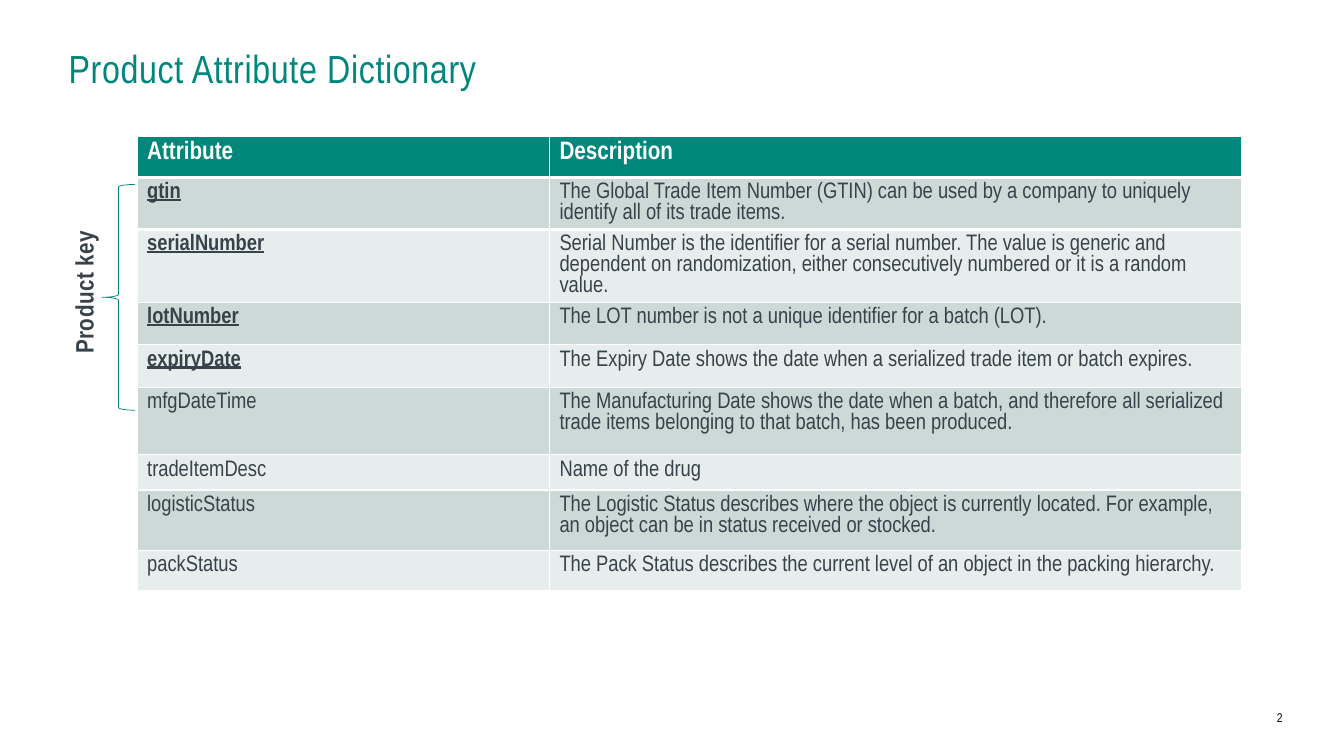
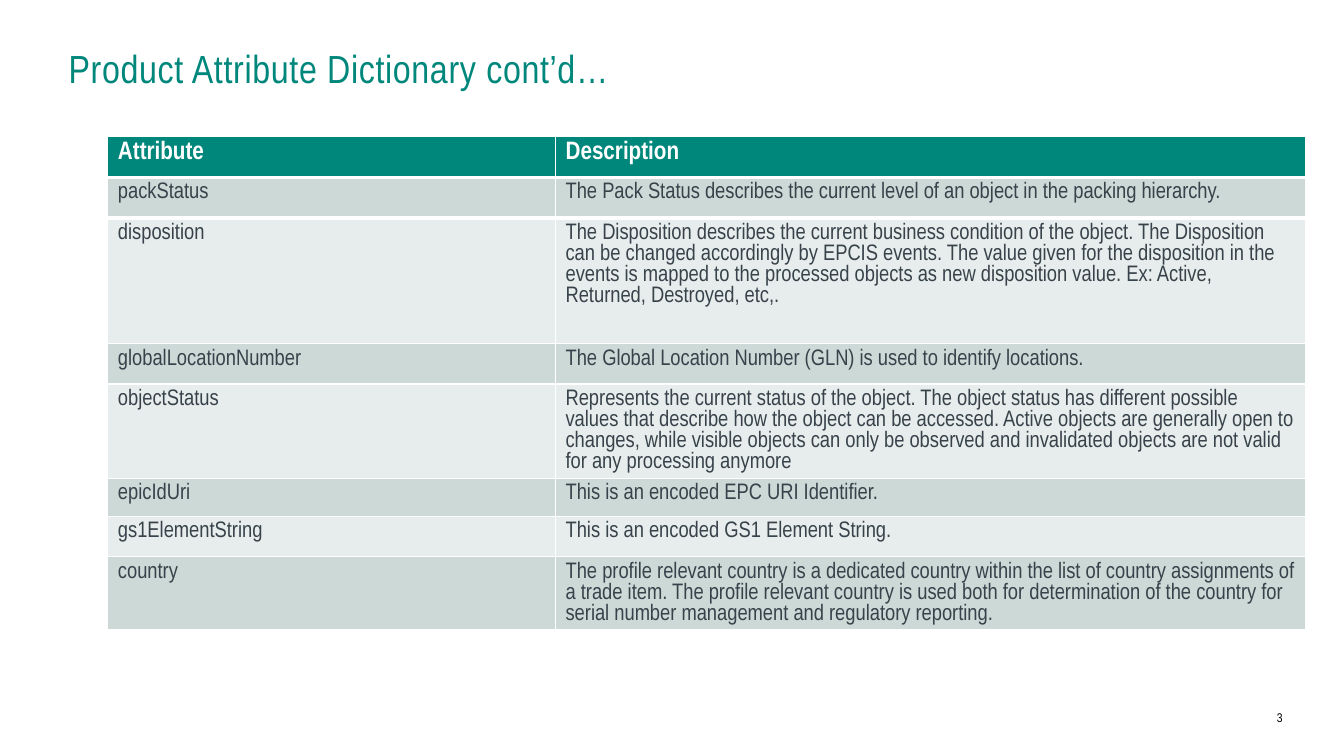
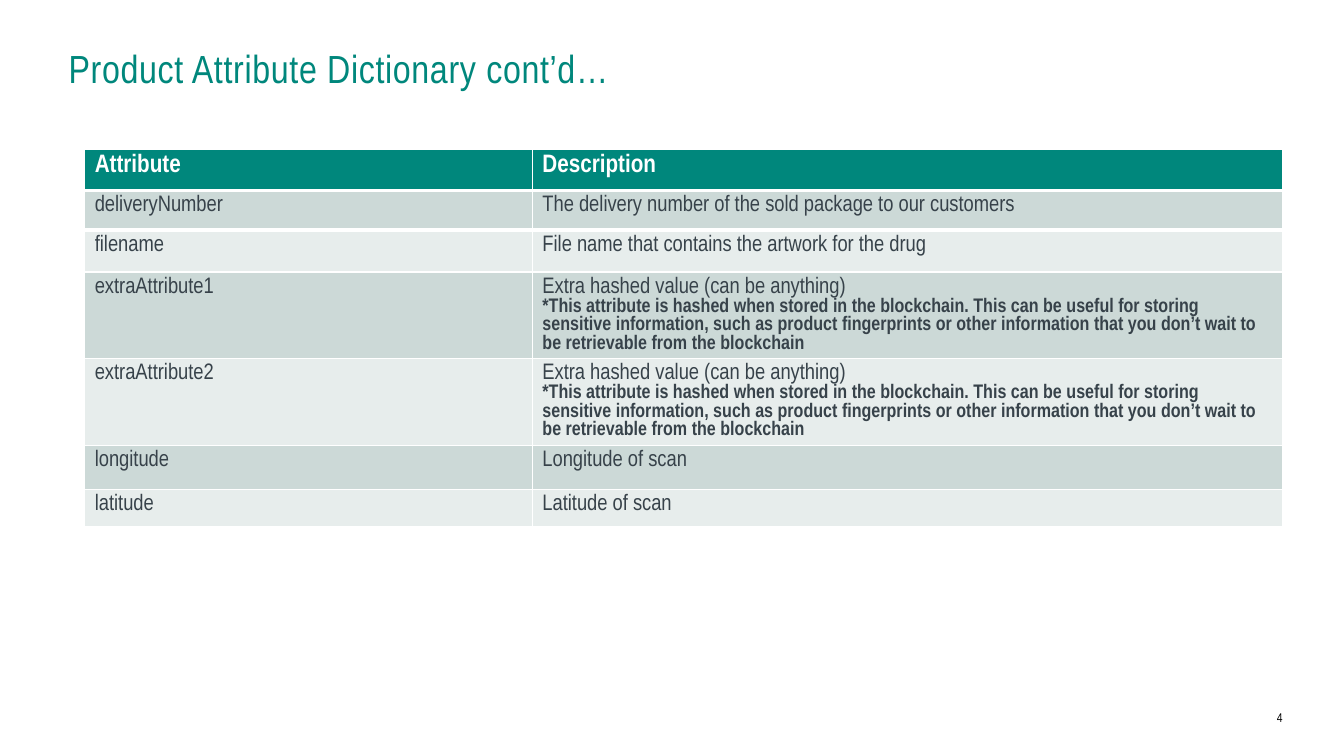
"""Build the three product attribute dictionary slides."""
from dataclasses import dataclass
from typing import Any

from lxml.etree import SubElement
from pptx import Presentation
from pptx.dml.color import RGBColor
from pptx.enum.shapes import MSO_SHAPE
from pptx.enum.text import PP_ALIGN
from pptx.oxml.ns import qn
from pptx.util import Inches, Pt

FONT = "Arial Narrow"
CELL_LEADING = 0.94
COLORS = {
    "teal": "00877C",
    "text": "37424A",
    "white": "FFFFFF",
    "black": "000000",
    "band_dark": "CCD9D7",
    "band_light": "E7EDEC",
}
STYLES: dict[str, dict[str, Any]] = {
    "title": {"size": Pt(28), "color": "teal", "spacing": 50},
    "number": {"size": Pt(9), "color": "black", "spacing": 10},
    "label": {"size": Pt(18), "color": "text", "bold": True, "spacing": 30},
    "header": {"size": Pt(18), "color": "white", "bold": True},
    "body": {"size": Pt(16), "color": "text", "bold": False},
    "key": {"size": Pt(16), "color": "text", "bold": True, "underline": True},
    "note": {"size": Pt(14), "color": "text", "bold": True},
}
HASH_NOTE = (
    "*This attribute is hashed when stored in the blockchain. This can be useful for "
    "storing sensitive information, such as product fingerprints or other information "
    "that you don’t wait to be retrievable from the blockchain"
)
CONTINUED = "Product Attribute Dictionary cont’d…"


@dataclass
class Entry:
    """One attribute row of a dictionary table."""

    name: str
    description: str
    height: float
    style: str = "body"
    note: str = ""


@dataclass
class Page:
    """One dictionary slide with its table geometry."""

    title: str
    left: float
    top: float
    columns: tuple[float, float]
    entries: list[Entry]


HEADER = Entry("Attribute", "Description", 0.41, "header")
PACK_STATUS = Entry(
    "packStatus",
    "The Pack Status describes the current level of an object in the packing hierarchy.",
    0.4,
)
PAGES = [
    Page("Product Attribute Dictionary", 1.36, 1.35, (4.09, 6.86), [
        Entry("gtin", "The Global Trade Item Number (GTIN) can be used by a company to "
              "uniquely identify all of its trade items.", 0.39, "key"),
        Entry("serialNumber", "Serial Number is the identifier for a serial number. The "
              "value is generic and dependent on randomization, either consecutively "
              "numbered or it is a random value.", 0.62, "key"),
        Entry("lotNumber", "The LOT number is not a unique identifier for a batch (LOT).",
              0.42, "key"),
        Entry("expiryDate", "The Expiry Date shows the date when a serialized trade item "
              "or batch expires.", 0.42, "key"),
        Entry("mfgDateTime", "The Manufacturing Date shows the date when a batch, and "
              "therefore all serialized trade items belonging to that batch, has been "
              "produced.", 0.67),
        Entry("tradeItemDesc", "Name of the drug", 0.35),
        Entry("logisticStatus", "The Logistic Status describes where the object is "
              "currently located. For example, an object can be in status received or "
              "stocked.", 0.6),
        PACK_STATUS,
    ]),
    Page(CONTINUED, 1.07, 1.35, (4.44, 7.44), [
        PACK_STATUS,
        Entry("disposition", "The Disposition describes the current business condition of "
              "the object. The Disposition can be changed accordingly by EPCIS events. The "
              "value given for the disposition in the events is mapped to the processed "
              "objects as new disposition value. Ex: Active, Returned, Destroyed, etc,.",
              1.25),
        Entry("globalLocationNumber",
              "The Global Location Number (GLN) is used to identify locations.", 0.4),
        Entry("objectStatus", "Represents the current status of the object. The object "
              "status has different possible values that describe how the object can be "
              "accessed. Active objects are generally open to changes, while visible "
              "objects can only be observed and invalidated objects are not valid for any "
              "processing anymore", 0.7),
        Entry("epicIdUri", "This is an encoded EPC URI Identifier.", 0.38),
        Entry("gs1ElementString", "This is an encoded GS1 Element String.", 0.4),
        Entry("country", "The profile relevant country is a dedicated country within the "
              "list of country assignments of a trade item. The profile relevant country "
              "is used both for determination of the country for serial number management "
              "and regulatory reporting.", 0.7),
    ]),
    Page(CONTINUED, 0.84, 1.48, (4.44, 7.44), [
        Entry("deliveryNumber", "The delivery number of the sold package to our customers",
              0.39),
        Entry("filename", "File name that contains the artwork for the drug", 0.42),
        Entry("extraAttribute1", "Extra hashed value (can be anything)", 0.42,
              note=HASH_NOTE),
        Entry("extraAttribute2", "Extra hashed value (can be anything)", 0.42,
              note=HASH_NOTE),
        Entry("longitude", "Longitude of scan", 0.44),
        Entry("latitude", "Latitude of scan", 0.37),
    ]),
]


def rgb(name: str) -> RGBColor:
    """Return a palette colour."""
    return RGBColor.from_string(COLORS[name])


def write(p: Any, text: str, style: str) -> None:
    """Add a styled run to a paragraph."""
    r = p.add_run()
    r.text = text
    r.font.name = FONT
    for key, value in STYLES[style].items():
        if key == "color":
            r.font.color.rgb = rgb(value)
        elif key == "spacing":
            r.font._element.set("spc", str(value))
        else:
            setattr(r.font, key, value)


def write_cell(p: Any, text: str, style: str) -> None:
    """Write a table paragraph with fixed leading."""
    p.line_spacing = Pt(round(STYLES[style]["size"].pt * CELL_LEADING, 1))
    write(p, text, style)


def add_text(s: Any, box: tuple[float, float, float, float], text: str, style: str,
             align: Any = PP_ALIGN.LEFT) -> Any:
    """Add a text box without margins and return it."""
    sp = s.shapes.add_textbox(*map(Inches, box))
    tf = sp.text_frame
    tf.word_wrap = True
    for side in ("left", "top", "right", "bottom"):
        setattr(tf, f"margin_{side}", 0)
    tf.paragraphs[0].alignment = align
    write(tf.paragraphs[0], text, style)
    return sp


def set_border(cell: Any, edge: str, width: float) -> None:
    """Draw a white border on one edge of a cell."""
    props = cell._tc.get_or_add_tcPr()
    line = SubElement(props, qn(f"a:{edge}"), w=str(Pt(width)))
    fill = SubElement(line, qn("a:solidFill"))
    SubElement(fill, qn("a:srgbClr"), val=COLORS["white"])
    props.insert(0, line)


def add_dictionary(s: Any, page: Page) -> None:
    """Add the attribute table of a page."""
    rows = [HEADER, *page.entries]
    table = s.shapes.add_table(
        len(rows), len(page.columns), Inches(page.left), Inches(page.top),
        Inches(sum(page.columns)), Inches(sum(e.height for e in rows)),
    ).table
    for column, width in zip(table.columns, page.columns):
        column.width = Inches(width)
    for i, entry in enumerate(rows):
        table.rows[i].height = Inches(entry.height)
        fill = "teal" if i == 0 else "band_dark" if i % 2 else "band_light"
        detail_style = "header" if i == 0 else "body"
        texts = ((entry.name, entry.style), (entry.description, detail_style))
        for cell, (text, style) in zip(table.rows[i].cells, texts):
            cell.fill.solid()
            cell.fill.fore_color.rgb = rgb(fill)
            write_cell(cell.text_frame.paragraphs[0], text, style)
            if i < 2:
                set_border(cell, ("lnB", "lnT")[i], 3)
        if entry.note:
            write_cell(table.cell(i, 1).text_frame.add_paragraph(), entry.note, "note")


def add_key_brace(s: Any) -> None:
    """Mark the rows that form the product key."""
    brace = s.shapes.add_shape(
        MSO_SHAPE.LEFT_BRACE, Inches(1.01), Inches(1.83), Inches(0.33), Inches(2.24))
    brace.shadow.inherit = False
    brace.fill.background()
    brace.line.color.rgb = rgb("teal")
    brace.line.width = Pt(0.5)
    label = add_text(s, (-0.17, 2.75, 2, 0.3), "Product key", "label", PP_ALIGN.CENTER)
    label.rotation = 270


def main() -> None:
    """Build and save the presentation."""
    prs = Presentation()
    prs.slide_width, prs.slide_height = Inches(13.33), Inches(7.5)
    for number, page in enumerate(PAGES, start=2):
        s = prs.slides.add_slide(prs.slide_layouts[6])
        title = add_text(s, (0.68, 0.47, 11.99, 1.18), page.title, "title")
        title.text_frame.paragraphs[0].line_spacing = 0.95
        add_text(s, (12.31, 7.04, 0.41, 0.32), str(number), "number", PP_ALIGN.RIGHT)
        add_dictionary(s, page)
    add_key_brace(prs.slides[0])
    prs.save("out.pptx")


if __name__ == "__main__":
    main()
